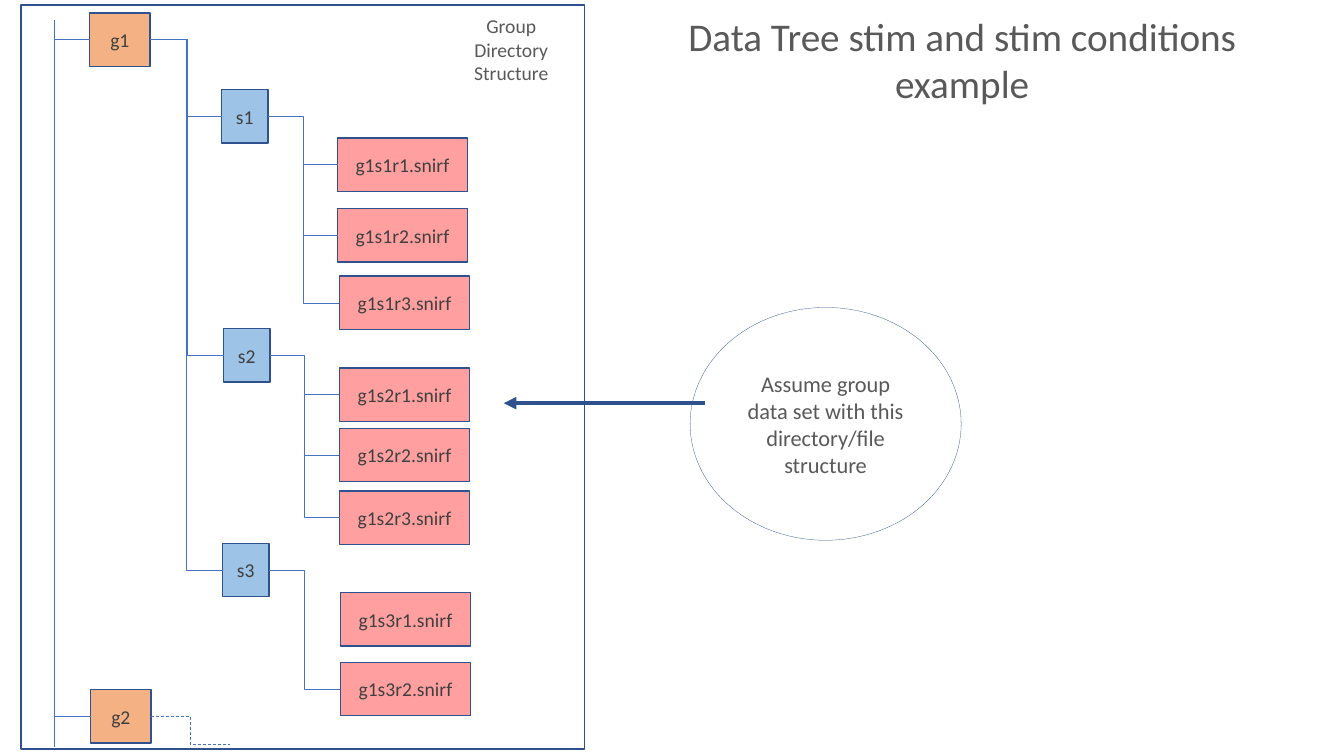
import lxml.etree
import pptx
import pptx.dml.color
import pptx.enum.dml
import pptx.enum.shapes
import pptx.enum.text
import pptx.oxml.ns
import pptx.util
from pptx.util import Inches

# Content: sizes and positions in inches
TITLE = "Data Tree stim and stim conditions example"
FRAME_LABEL = ["Group", "Directory", "Structure"]
CALLOUT = "Assume group data set with this directory/file structure"

GROUPS = [("g1", 0.89, 0.13), ("g2", 0.9, 6.84)]  # name, left, top

# subject, left, top, files (run, left, top), runs joined by a short branch, elbow run
SUBJECTS = [
    ("s1", 2.2, 0.89, [("r1", 3.35, 1.37), ("r2", 3.35, 2.07), ("r3", 3.37, 2.74)],
     ["r1", "r2"], "r3"),
    ("s2", 2.22, 3.26, [("r1", 3.37, 3.65), ("r2", 3.37, 4.25), ("r3", 3.37, 4.87)],
     ["r1", "r2"], "r3"),
    ("s3", 2.21, 5.39, [("r1", 3.38, 5.88), ("r2", 3.38, 6.57)], [], "r2"),
]

BOX_HEIGHT = 0.53
GROUP_WIDTH, SUBJECT_WIDTH, FILE_WIDTH = 0.6, 0.46, 1.29
TRUNK_X, BRANCH_X = 0.54, 3.02
ARROW_START = (7.24, 3.84)
ARROW_CURVES = [  # two control points and an end point per curve
    [(6.85, 3.74), (6.46, 3.64), (6.05, 3.6)],
    [(5.65, 3.56), (5.24, 3.58), (4.82, 3.59)],
]


class Theme:
    font = "Calibri"
    group = "F4B183"
    subject = "9DC3E6"
    file = "FF9F9F"
    outline = "2F528F"
    connector = "4472C4"
    box_text = "404040"
    text = "595959"
    title_size, callout_size, box_size = 28, 16, 14
    outline_width, connector_width, callout_width, arrow_width = 1, 0.5, 0.2, 3


SHAPE = pptx.enum.shapes.MSO_SHAPE
CONNECTOR = pptx.enum.shapes.MSO_CONNECTOR
ANCHOR = pptx.enum.text.MSO_ANCHOR
RIGHT_SIDE, LEFT_SIDE = 3, 1

presentation = pptx.Presentation()
presentation.slide_width, presentation.slide_height = Inches(13.34), Inches(7.5)
slide = presentation.slides.add_slide(presentation.slide_layouts[5])


def rgb(value):
    return pptx.dml.color.RGBColor.from_string(value)


def write(shape, lines, size, color, anchor):
    frame = shape.text_frame
    frame.word_wrap = True
    frame.auto_size = pptx.enum.text.MSO_AUTO_SIZE.NONE
    frame.vertical_anchor = anchor
    paragraph = frame.paragraphs[0]
    paragraph.alignment = pptx.enum.text.PP_ALIGN.CENTER
    for index, line in enumerate(lines):
        if index:
            paragraph.add_line_break()
        run = paragraph.add_run()
        run.text = line
        run.font.name = Theme.font
        run.font.size = pptx.util.Pt(size)
        run.font.color.rgb = rgb(color)


def set_line(item, color, width):
    item.line.color.rgb = rgb(color)
    item.line.width = pptx.util.Pt(width)


def add_outlined(kind, left, top, width, height, fill=None, line_width=Theme.outline_width):
    shape = slide.shapes.add_shape(kind, *map(Inches, (left, top, width, height)))
    shape.shadow.inherit = False
    if fill:
        shape.fill.solid()
        shape.fill.fore_color.rgb = rgb(fill)
    else:
        shape.fill.background()
    set_line(shape, Theme.outline, line_width)
    return shape


def add_box(label, left, top, width, fill):
    box = add_outlined(SHAPE.RECTANGLE, left, top, width, BOX_HEIGHT, fill)
    write(box, [label], Theme.box_size, Theme.box_text, ANCHOR.MIDDLE)
    return box


def add_link(kind, start, end, source=None, target=None):
    link = slide.shapes.add_connector(kind, *map(Inches, (*start, *end)))
    if source is not None:
        link.begin_connect(source, RIGHT_SIDE)
    if target is not None:
        link.end_connect(target, LEFT_SIDE)
    set_line(link, Theme.connector, Theme.connector_width)
    lxml.etree.SubElement(link._element.spPr, pptx.oxml.ns.qn("a:effectLst"))
    return link


def curve_points(start, curves, steps=12):
    for first, second, end in curves:
        for step in range(1, steps + 1):
            t = step / steps
            weights = ((1 - t) ** 3, 3 * t * (1 - t) ** 2, 3 * t * t * (1 - t), t ** 3)
            corners = (start, first, second, end)
            yield tuple(sum(w * corner[axis] for w, corner in zip(weights, corners))
                        for axis in (0, 1))
        start = end


# Title
title = slide.shapes.title
title.left, title.top, title.width, title.height = map(Inches, (6.49, 0.07, 6.12, 1.04))
write(title, [TITLE], Theme.title_size, Theme.text, ANCHOR.TOP)

# Directory frame and its label
add_outlined(SHAPE.RECTANGLE, 0.21, 0.05, 5.59, 7.38)
frame_label = slide.shapes.add_textbox(*map(Inches, (4.34, 0.09, 1.47, 0.8)))
write(frame_label, FRAME_LABEL, Theme.box_size, Theme.text, ANCHOR.TOP)

# Trunk and groups
add_link(CONNECTOR.STRAIGHT, (TRUNK_X, 0.2), (TRUNK_X, 7.41))
group_boxes = []
for name, left, top in GROUPS:
    box = add_box(name, left, top, GROUP_WIDTH, Theme.group)
    middle = top + BOX_HEIGHT / 2
    add_link(CONNECTOR.STRAIGHT, (TRUNK_X, middle), (left, middle), target=box)
    group_boxes.append(box)
first_group, second_group = group_boxes

# Subjects and their files
for subject, left, top, files, branch_runs, elbow_run in SUBJECTS:
    subject_box = add_box(subject, left, top, SUBJECT_WIDTH, Theme.subject)
    add_link(CONNECTOR.ELBOW, (0, 0), (1, 1), first_group, subject_box)
    for run_name, file_left, file_top in files:
        file_box = add_box(f"g1{subject}{run_name}.snirf", file_left, file_top,
                           FILE_WIDTH, Theme.file)
        middle = file_top + BOX_HEIGHT / 2
        if run_name in branch_runs:
            add_link(CONNECTOR.STRAIGHT, (BRANCH_X, middle), (file_left, middle),
                     target=file_box)
        elif run_name == elbow_run:
            add_link(CONNECTOR.ELBOW, (0, 0), (1, 1), subject_box, file_box)

# Dashed continuation of the second group
continuation = add_link(CONNECTOR.ELBOW, (1.49, 7.1), (2.28, 7.38), second_group)
continuation.line.dash_style = pptx.enum.dml.MSO_LINE.DASH

# Callout and curved arrow
callout = add_outlined(SHAPE.OVAL, 6.85, 3.05, 2.69, 2.31, line_width=Theme.callout_width)
write(callout, [CALLOUT], Theme.callout_size, Theme.text, ANCHOR.MIDDLE)

builder = slide.shapes.build_freeform(*ARROW_START, scale=Inches(1))
builder.add_line_segments(list(curve_points(ARROW_START, ARROW_CURVES)), close=False)
arrow = builder.convert_to_shape()
arrow.shadow.inherit = False
arrow.fill.background()
set_line(arrow, Theme.outline, Theme.arrow_width)
lxml.etree.SubElement(arrow.line._get_or_add_ln(), pptx.oxml.ns.qn("a:tailEnd"),
                      type="triangle")

presentation.save("out.pptx")
